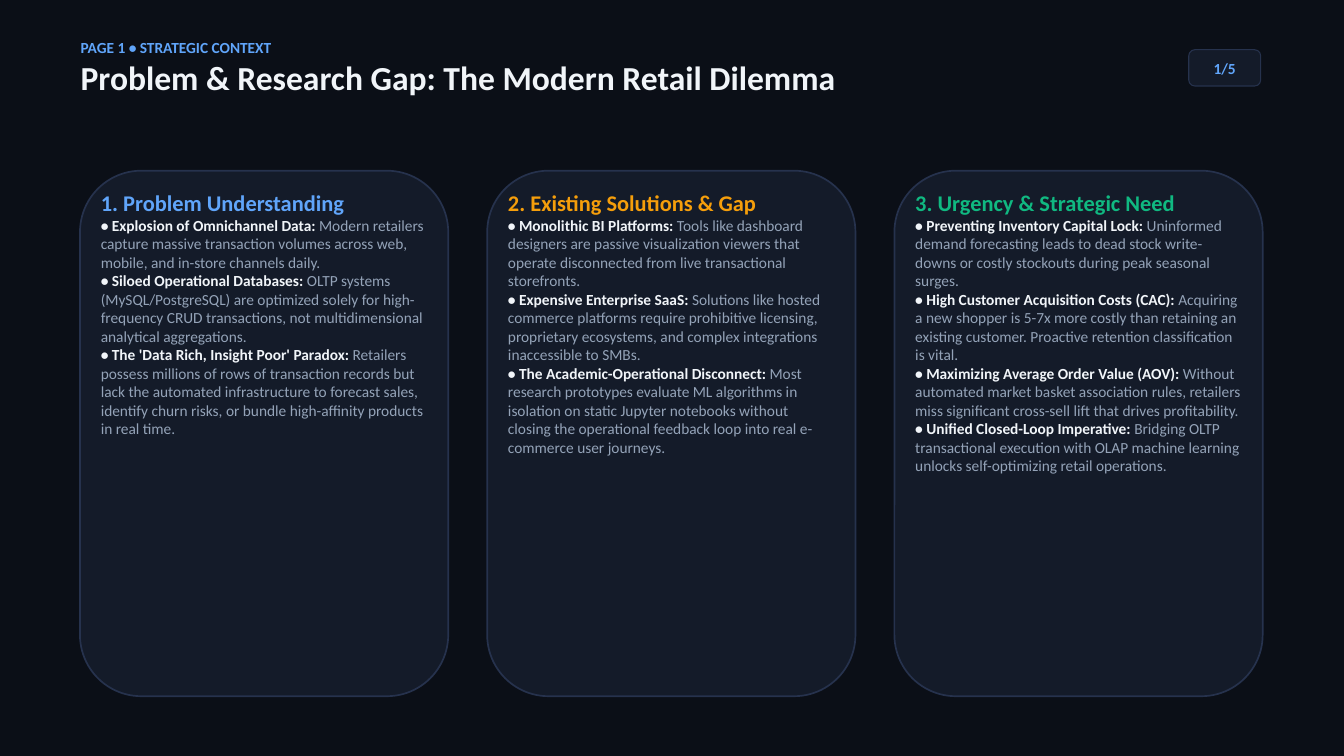
from dataclasses import dataclass

from pptx import Presentation
from pptx.dml.color import RGBColor
from pptx.enum.shapes import MSO_SHAPE
from pptx.enum.text import MSO_ANCHOR, MSO_AUTO_SIZE, PP_ALIGN
from pptx.util import Inches, Pt


@dataclass(frozen=True)
class Theme:
    """Colours, font and type sizes of the slide."""
    font: str = "Calibri"
    page: str = "0B0F17"
    panel: str = "141B29"
    border: str = "26324D"
    light: str = "F1F5F9"
    muted: str = "94A3B8"
    blue: str = "60A5FA"
    amber: str = "F59E0B"
    green: str = "10B981"
    title: float = 36
    heading: float = 24
    body: float = 16.5
    leading: float = 1.2


THEME = Theme()

CARDS = [
    ("1. Problem Understanding", THEME.blue, [
        ("Explosion of Omnichannel Data:",
         "Modern retailers capture massive transaction volumes across web, mobile, "
         "and in-store channels daily."),
        ("Siloed Operational Databases:",
         "OLTP systems (MySQL/PostgreSQL) are optimized solely for high-frequency CRUD "
         "transactions, not multidimensional analytical aggregations."),
        ("The 'Data Rich, Insight Poor' Paradox:",
         "Retailers possess millions of rows of transaction records but lack the automated "
         "infrastructure to forecast sales, identify churn risks, or bundle high-affinity "
         "products in real time."),
    ]),
    ("2. Existing Solutions & Gap", THEME.amber, [
        ("Monolithic BI Platforms:",
         "Tools like dashboard designers are passive visualization viewers that operate "
         "disconnected from live transactional storefronts."),
        ("Expensive Enterprise SaaS:",
         "Solutions like hosted commerce platforms require prohibitive licensing, "
         "proprietary ecosystems, and complex integrations inaccessible to SMBs."),
        ("The Academic-Operational Disconnect:",
         "Most research prototypes evaluate ML algorithms in isolation on static Jupyter "
         "notebooks without closing the operational feedback loop into real e-commerce "
         "user journeys."),
    ]),
    ("3. Urgency & Strategic Need", THEME.green, [
        ("Preventing Inventory Capital Lock:",
         "Uninformed demand forecasting leads to dead stock write-downs or costly "
         "stockouts during peak seasonal surges."),
        ("High Customer Acquisition Costs (CAC):",
         "Acquiring a new shopper is 5-7x more costly than retaining an existing customer. "
         "Proactive retention classification is vital."),
        ("Maximizing Average Order Value (AOV):",
         "Without automated market basket association rules, retailers miss significant "
         "cross-sell lift that drives profitability."),
        ("Unified Closed-Loop Imperative:",
         "Bridging OLTP transactional execution with OLAP machine learning unlocks "
         "self-optimizing retail operations."),
    ]),
]


def set_frame(tf, anchor=MSO_ANCHOR.TOP):
    """Give a text frame wrapping, no margins and a fixed size."""
    values = {"word_wrap": True, "auto_size": MSO_AUTO_SIZE.NONE,
              "vertical_anchor": anchor, "margin_left": 0, "margin_right": 0,
              "margin_top": 0, "margin_bottom": 0}
    for name, value in values.items():
        setattr(tf, name, value)


def write_line(p, runs, size, align=PP_ALIGN.LEFT):
    """Fill a paragraph with (text, colour, bold) runs of one size."""
    spacing = {"alignment": align, "line_spacing": Pt(size * THEME.leading),
               "space_before": Pt(0), "space_after": Pt(0)}
    for name, value in spacing.items():
        setattr(p, name, value)
    for text, color, bold in runs:
        r = p.add_run()
        r.text = text
        for name, value in {"name": THEME.font, "size": Pt(size), "bold": bold}.items():
            setattr(r.font, name, value)
        r.font.color.rgb = RGBColor.from_string(color)


def add_text(s, x, y, w, h):
    """Add an empty text box and return its frame."""
    tf = s.shapes.add_textbox(Inches(x), Inches(y), Inches(w), Inches(h)).text_frame
    set_frame(tf)
    return tf


def add_panel(s, x, y, w, h, line_width):
    """Add a bordered rounded panel and return it."""
    sp = s.shapes.add_shape(MSO_SHAPE.ROUNDED_RECTANGLE,
                            Inches(x), Inches(y), Inches(w), Inches(h))
    sp.shadow.inherit = False
    sp.fill.solid()
    sp.fill.fore_color.rgb = RGBColor.from_string(THEME.panel)
    sp.line.color.rgb = RGBColor.from_string(THEME.border)
    sp.line.width = Pt(line_width)
    return sp


def add_header(s, kicker, title):
    """Write the kicker line and the slide title beneath it."""
    tf = add_text(s, 1.2, 0.57, 16, 0.28)
    write_line(tf.paragraphs[0], [(kicker, THEME.blue, True)], THEME.body)
    sp = s.shapes.title
    place = {"left": 1.2, "top": 0.85, "width": 16, "height": 0.65}
    for name, value in place.items():
        setattr(sp, name, Inches(value))
    set_frame(sp.text_frame)
    write_line(sp.text_frame.paragraphs[0], [(title, THEME.light, True)], THEME.title)


def add_badge(s, text):
    """Add the page counter at the top right."""
    tf = add_panel(s, 17.69, 0.74, 1.07, 0.54, 1.13).text_frame
    set_frame(tf, MSO_ANCHOR.MIDDLE)
    write_line(tf.paragraphs[0], [(text, THEME.blue, True)], THEME.body, PP_ALIGN.CENTER)


def add_card(s, x, heading, color, points):
    """Add a panel with a coloured heading and its points."""
    add_panel(s, x, 2.54, 5.48, 7.82, 1.8)
    tf = add_text(s, x + 0.31, 2.81, 4.86, 7.24)
    write_line(tf.paragraphs[0], [(heading, color, True)], THEME.heading)
    for label, detail in points:
        runs = [(f"• {label} ", THEME.light, True), (detail, THEME.muted, False)]
        write_line(tf.add_paragraph(), runs, THEME.body)


def main():
    """Build the slide and save it."""
    prs = Presentation()
    prs.slide_width, prs.slide_height = Inches(20), Inches(11.25)
    s = prs.slides.add_slide(prs.slide_layouts[5])
    s.background.fill.solid()
    s.background.fill.fore_color.rgb = RGBColor.from_string(THEME.page)
    add_header(s, "PAGE 1 • STRATEGIC CONTEXT",
               "Problem & Research Gap: The Modern Retail Dilemma")
    add_badge(s, "1/5")
    for i, card in enumerate(CARDS):
        add_card(s, 1.19 + 6.06 * i, *card)
    prs.save("out.pptx")


if __name__ == "__main__":
    main()
